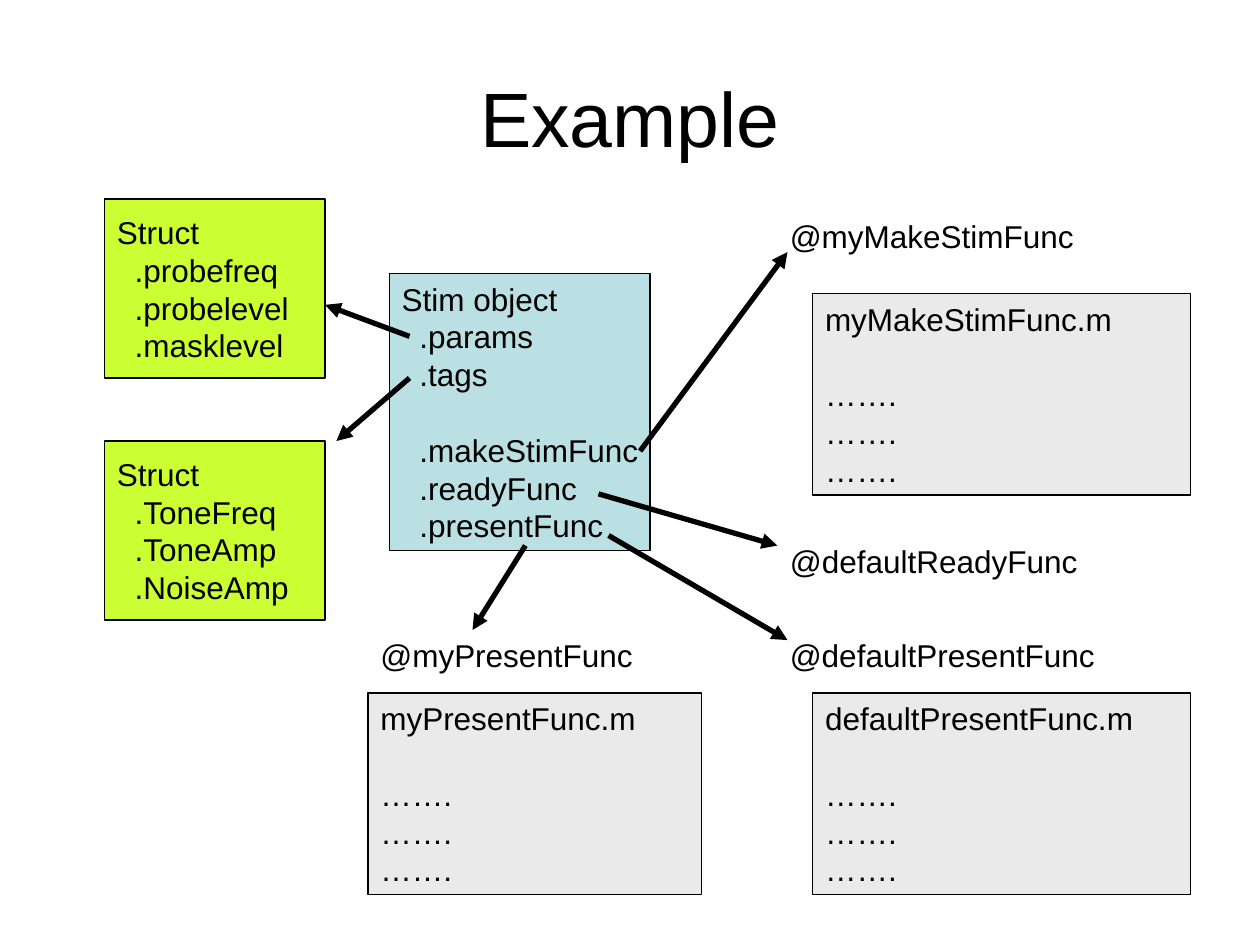
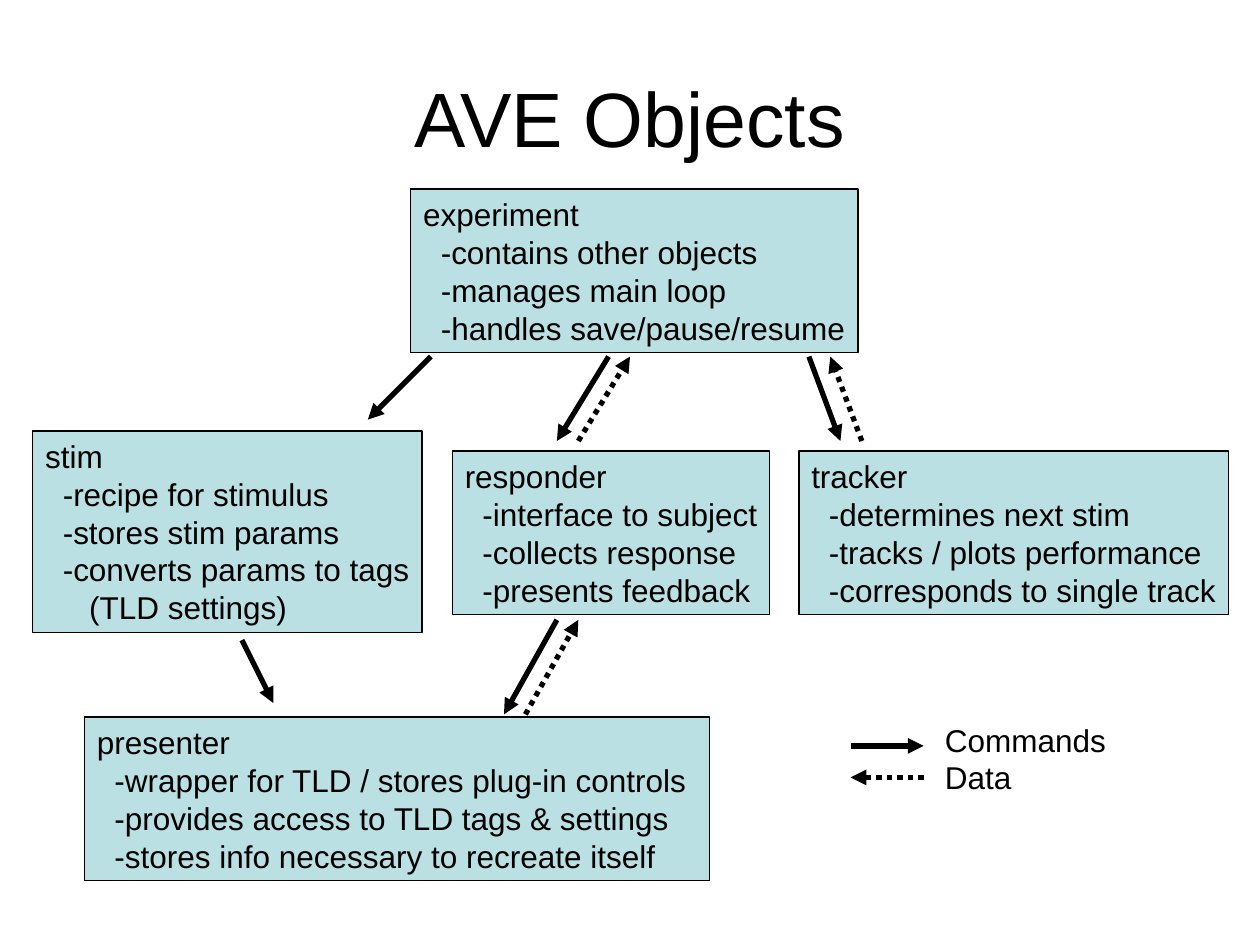
from dataclasses import dataclass

from lxml import etree
from pptx import Presentation
from pptx import util as u
from pptx.dml.color import RGBColor
from pptx.enum import dml, shapes, text
from pptx.oxml.ns import qn

FONT = "Arial"
BLACK, BLUE, GREY, GREEN = "000000", "BBE0E3", "EAEAEA", "CCFF33"
BODY_SIZE, TITLE_SIZE = 18, 44
LINE_PITCH = 21.6  # points from one line of body text to the next
INDENTS = (0, 0.14, 0.35)  # inches, by level
DATA_SHIFT = 0.17  # data arrows run beside command arrows
TOP, MIDDLE = text.MSO_ANCHOR.TOP, text.MSO_ANCHOR.MIDDLE


@dataclass(frozen=True)
class Line:
    words: str
    level: int = 0
    lines_before: int = 0


@dataclass(frozen=True)
class Box:
    left: float
    top: float
    width: float
    height: float
    lines: tuple[Line, ...]
    fill: str | None = None
    anchor: text.MSO_ANCHOR = TOP


@dataclass(frozen=True)
class Arrow:
    start: tuple[float, float]
    end: tuple[float, float]
    dotted: bool = False


def color(value: str) -> RGBColor:
    return RGBColor.from_string(value)


def set_all(target, values: dict) -> None:
    for name, value in values.items():
        setattr(target, name, value)


def write_line(paragraph, line: Line, size: int, align: text.PP_ALIGN) -> None:
    set_all(paragraph, {"alignment": align, "space_before": u.Pt(line.lines_before * LINE_PITCH)})
    properties = paragraph._p.get_or_add_pPr()
    properties.set("marL", str(u.Inches(INDENTS[line.level])))
    properties.set("indent", "0")
    run = paragraph.add_run()
    run.text = line.words
    set_all(run.font, {"name": FONT, "size": u.Pt(size)})
    run.font.color.rgb = color(BLACK)


def add_box(slide, box: Box, size: int = BODY_SIZE,
            align: text.PP_ALIGN = text.PP_ALIGN.LEFT) -> None:
    """Draw a filled, outlined rectangle, or a plain text box if there is no fill."""
    place = [u.Inches(n) for n in (box.left, box.top, box.width, box.height)]
    if box.fill:
        shape = slide.shapes.add_shape(shapes.MSO_SHAPE.RECTANGLE, *place)
        shape.shadow.inherit = False
        shape.fill.solid()
        shape.fill.fore_color.rgb = color(box.fill)
        shape.line.color.rgb = color(BLACK)
        shape.line.width = u.Pt(0.75)
    else:
        shape = slide.shapes.add_textbox(*place)
    frame = shape.text_frame
    set_all(frame, {"word_wrap": False, "vertical_anchor": box.anchor})
    for index, line in enumerate(box.lines):
        paragraph = frame.add_paragraph() if index else frame.paragraphs[0]
        write_line(paragraph, line, size, align)


def add_arrow(slide, arrow: Arrow) -> None:
    points = [u.Inches(n) for n in arrow.start + arrow.end]
    connector = slide.shapes.add_connector(shapes.MSO_CONNECTOR.STRAIGHT, *points)
    connector.line.color.rgb = color(BLACK)
    connector.line.width = u.Pt(3)
    if arrow.dotted:
        connector.line.dash_style = dml.MSO_LINE.ROUND_DOT
    outline_xml = connector.line._get_or_add_ln()
    etree.SubElement(outline_xml, qn("a:tailEnd"), type="triangle")
    etree.SubElement(connector._element.spPr, qn("a:effectLst"))


def add_slide(presentation, title: str, boxes: list[Box], arrows: list[Arrow]) -> None:
    slide = presentation.slides.add_slide(presentation.slide_layouts[6])
    heading = Box(0.5, 0.3, 9, 1.25, (Line(title),), anchor=MIDDLE)
    add_box(slide, heading, TITLE_SIZE, text.PP_ALIGN.CENTER)
    for box in boxes:
        add_box(slide, box)
    for arrow in arrows:
        add_arrow(slide, arrow)


def outline(heading: str, *items: str) -> tuple[Line, ...]:
    return (Line(heading), *(Line(item, 1) for item in items))


def struct_box(top: float, *fields: str) -> Box:
    return Box(0.83, top, 1.75, 1.42, outline("Struct", *fields), GREEN, MIDDLE)


def file_box(left: float, top: float, width: float, name: str) -> Box:
    dots = "……."
    lines = (Line(name), Line(dots, lines_before=1), Line(dots), Line(dots))
    return Box(left, top, width, 1.6, lines, GREY)


def handle(left: float, top: float, width: float, name: str) -> Box:
    return Box(left, top, width, 0.4, (Line(name),))


def object_box(left: float, top: float, width: float, *words: str) -> Box:
    return Box(left, top, width, 1.3, outline(*words), BLUE)


def command_and_data(start: tuple[float, float], end: tuple[float, float]) -> list[Arrow]:
    """Return a command arrow and the dotted data arrow going back beside it."""
    back_start, back_end = ((x + DATA_SHIFT, y) for x, y in (end, start))
    return [Arrow(start, end), Arrow(back_start, back_end, dotted=True)]


def example_slide(presentation) -> None:
    stim_lines = (
        *outline("Stim object", ".params", ".tags"),
        Line(".makeStimFunc", 1, lines_before=1),
        Line(".readyFunc", 1),
        Line(".presentFunc", 1),
    )
    boxes = [
        Box(3.09, 2.17, 2.07, 2.2, stim_lines, BLUE),
        struct_box(1.58, ".probefreq", ".probelevel", ".masklevel"),
        struct_box(3.5, ".ToneFreq", ".ToneAmp", ".NoiseAmp"),
        file_box(6.45, 2.33, 3, "myMakeStimFunc.m"),
        file_box(6.45, 5.5, 3, "defaultPresentFunc.m"),
        file_box(2.92, 5.5, 2.65, "myPresentFunc.m"),
        handle(6.17, 1.67, 2.5, "@myMakeStimFunc"),
        handle(6.17, 4.25, 2.52, "@defaultReadyFunc"),
        handle(6.17, 5, 2.66, "@defaultPresentFunc"),
        handle(2.92, 5, 2.25, "@myPresentFunc"),
    ]
    arrows = [
        Arrow((3.25, 2.67), (2.58, 2.42)),
        Arrow((3.25, 3), (2.67, 3.5)),
        Arrow((5.08, 3.58), (6.25, 2)),
        Arrow((4.75, 3.92), (6.17, 4.33)),
        Arrow((4.83, 4.25), (6.25, 5.08)),
        Arrow((4.17, 4.33), (3.75, 5)),
    ]
    add_slide(presentation, "Example", boxes, arrows)


def objects_slide(presentation) -> None:
    stim_lines = (
        *outline("stim", "-recipe for stimulus", "-stores stim params",
                 "-converts params to tags"),
        Line("(TLD settings)", 2),
    )
    boxes = [
        object_box(3.26, 1.5, 3.55, "experiment", "-contains other objects",
                   "-manages main loop", "-handles save/pause/resume"),
        object_box(6.34, 3.58, 3.41, "tracker", "-determines next stim",
                   "-tracks / plots performance", "-corresponds to single track"),
        object_box(0.67, 5.69, 4.96, "presenter",
                   "-wrapper for TLD / stores plug-in controls",
                   "-provides access to TLD tags & settings",
                   "-stores info necessary to recreate itself"),
        object_box(3.59, 3.58, 2.52, "responder", "-interface to subject",
                   "-collects response", "-presents feedback"),
        Box(0.26, 3.42, 3.09, 1.6, stim_lines, BLUE),
        Box(7.4, 5.67, 1.48, 0.7, (Line("Commands"), Line("Data"))),
    ]
    arrows = [
        Arrow((3.42, 2.83), (2.92, 3.33)),
        Arrow((1.92, 5.08), (2.17, 5.58)),
        *command_and_data((4.83, 2.83), (4.42, 3.5)),
        *command_and_data((6.42, 2.83), (6.67, 3.5)),
        *command_and_data((4.42, 4.92), (4, 5.67)),
        Arrow((6.75, 5.92), (7.33, 5.92)),
        Arrow((7.33, 6.17), (6.75, 6.17), dotted=True),
    ]
    add_slide(presentation, "AVE Objects", boxes, arrows)


def main() -> None:
    presentation = Presentation()
    set_all(presentation, {"slide_width": u.Inches(10), "slide_height": u.Inches(7.5)})
    example_slide(presentation)
    objects_slide(presentation)
    presentation.save("out.pptx")


if __name__ == "__main__":
    main()
